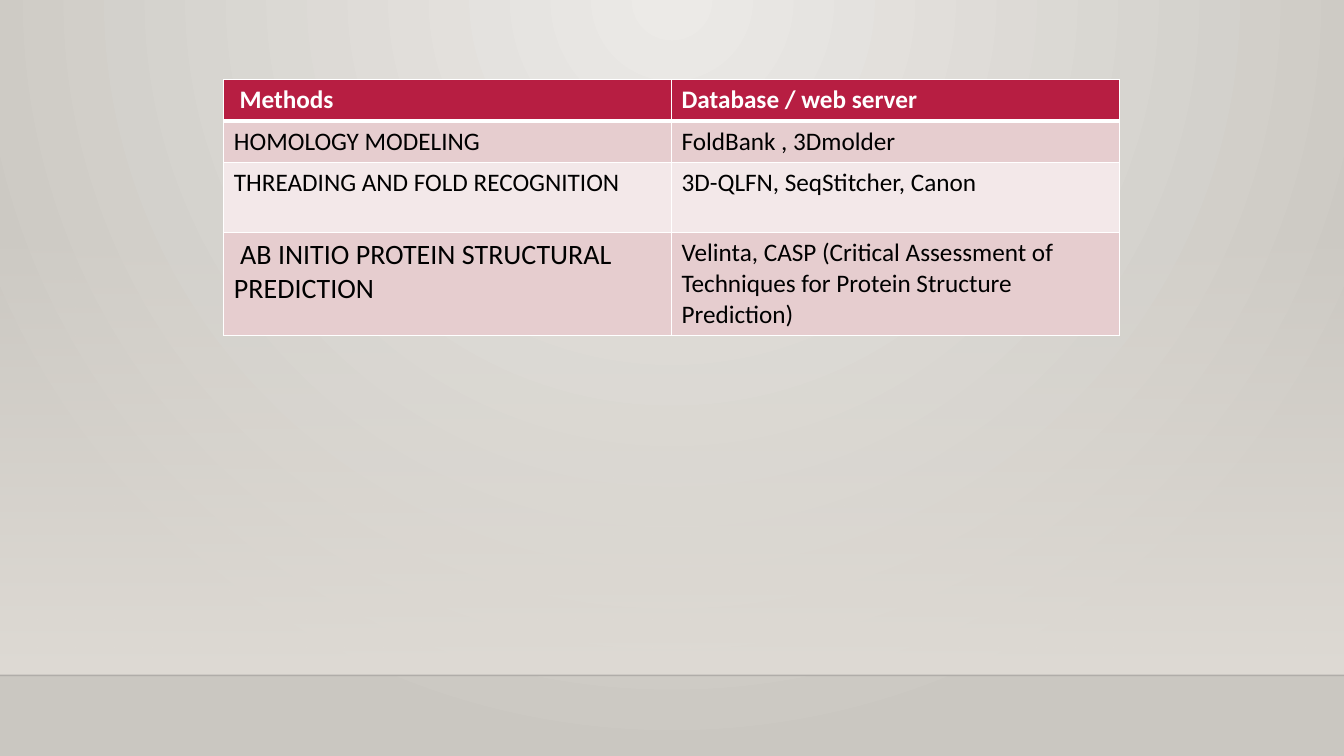
"""Build a slide with a table of protein structure prediction methods."""
from lxml import etree
from pptx import Presentation
from pptx.dml.color import RGBColor
from pptx.enum.shapes import MSO_CONNECTOR, MSO_SHAPE
from pptx.oxml.ns import qn
from pptx.util import Inches, Pt

RECT = MSO_SHAPE.RECTANGLE
STRAIGHT = MSO_CONNECTOR.STRAIGHT
WIDTH, HORIZON = 13.33, 6.7
FILLS = ["B71E42", "E6CDCF", "F3E8E9", "E6CDCF"]
ROW_HEIGHTS = [0.41, 0.41, 0.7, 1.02]
ROWS = [
    (" Methods", "Database / web server"),
    ("HOMOLOGY MODELING", "FoldBank , 3Dmolder"),
    ("THREADING AND FOLD RECOGNITION", "3D-QLFN, SeqStitcher, Canon"),
    (" AB INITIO PROTEIN STRUCTURAL PREDICTION",
     "Velinta, CASP (Critical Assessment of Techniques for Protein Structure Prediction)"),
]


def rgb(value):
    return RGBColor.from_string(value)


def add(parent, tag, **attrs):
    return etree.SubElement(parent, qn(tag), attrs)


prs = Presentation()
prs.slide_width, prs.slide_height = Inches(WIDTH), Inches(7.5)
s = prs.slides.add_slide(prs.slide_layouts[6])

bg = s.background.fill
bg.gradient()
for stop, color in zip(bg.gradient_stops, ("ECEAE7", "CAC7C1")):
    stop.color.rgb = rgb(color)
grad = s.element.find(".//" + qn("a:gradFill"))
grad.remove(grad.find(qn("a:lin")))
circle = add(grad, "a:path", path="circle")
add(circle, "a:fillToRect", l="43000", t="0", r="43000", b="100000")

wall = s.shapes.add_shape(RECT, 0, Inches(2.21), Inches(WIDTH), Inches(HORIZON - 2.21))
wall.shadow.inherit = False
wall.line.fill.background()
wall.fill.gradient()
wall.fill.gradient_angle = 270
for stop in wall.fill.gradient_stops:
    stop.color.rgb = rgb("DFDBD5")
add(wall.element.find(".//" + qn("a:srgbClr")), "a:alpha", val="0")

horizon = s.shapes.add_connector(STRAIGHT, 0, Inches(HORIZON), Inches(WIDTH), Inches(HORIZON))
horizon.line.width = Pt(1)
horizon.line.color.rgb = rgb("000001")
add(horizon.element.find(".//" + qn("a:srgbClr")), "a:alpha", val="20000")
add(horizon.element.spPr, "a:effectLst")

frame = s.shapes.add_table(len(ROWS), 2, Inches(2.22), Inches(0.79),
                           Inches(8.89), Inches(sum(ROW_HEIGHTS)))
table = frame.table
for col in table.columns:
    col.width = Inches(4.44)
for i, texts in enumerate(ROWS):
    table.rows[i].height = Inches(ROW_HEIGHTS[i])
    for j, text in enumerate(texts):
        cell = table.cell(i, j)
        tcPr = cell._tc.get_or_add_tcPr()
        for side in "LRTB":
            thick = (i, side) in ((0, "B"), (1, "T"))
            ln = add(tcPr, "a:ln" + side, w=str(Pt(3 if thick else 1)))
            add(add(ln, "a:solidFill"), "a:srgbClr", val="FFFFFF")
        cell.fill.solid()
        cell.fill.fore_color.rgb = rgb(FILLS[i])
        r = cell.text_frame.paragraphs[0].add_run()
        r.text = text
        size = Pt(20 if (i, j) == (3, 0) else 18)
        for name, value in {"name": "Calibri", "size": size, "bold": i == 0}.items():
            setattr(r.font, name, value)
        r.font.color.rgb = rgb("000000" if i else "FFFFFF")

prs.save("out.pptx")
